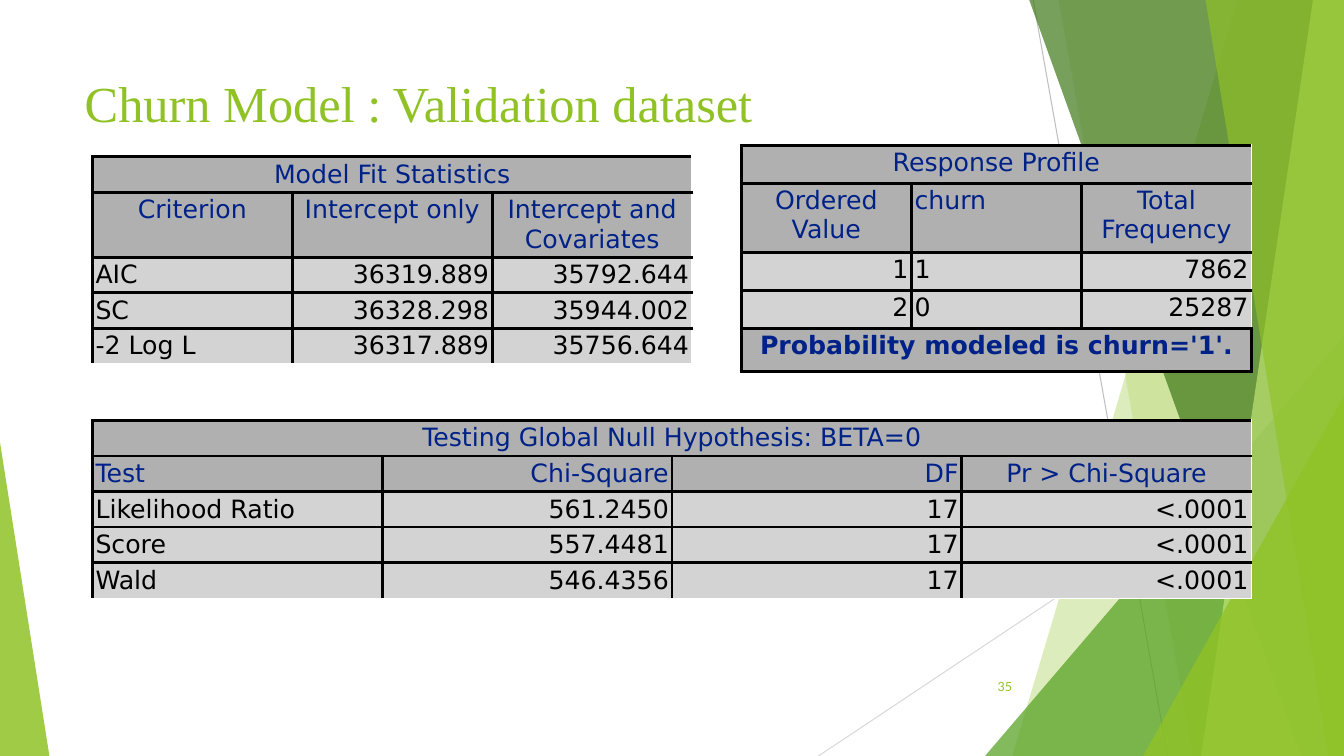
from lxml.etree import SubElement
from pptx import Presentation
from pptx.dml.color import RGBColor
from pptx.enum.shapes import MSO_CONNECTOR, MSO_SHAPE
from pptx.enum.text import MSO_ANCHOR, PP_ALIGN
from pptx.oxml.ns import qn
from pptx.util import Pt

WIDTH, HEIGHT = 960, 540
LIME = RGBColor(0x90, 0xC2, 0x26)
GREEN = RGBColor(0x54, 0xA0, 0x21)
DARK_GREEN = RGBColor(0x3F, 0x78, 0x19)
PALE_LIME = RGBColor(0xC0, 0xE4, 0x74)
NAVY = RGBColor(0x00, 0x22, 0x88)
BLACK = RGBColor(0, 0, 0)
WHITE = RGBColor(0xFF, 0xFF, 0xFF)
HEADER_GRAY = RGBColor(0xB0, 0xB0, 0xB0)
BODY_GRAY = RGBColor(0xD3, 0xD3, 0xD3)
LINE_GRAY = RGBColor(0xBF, 0xBF, 0xBF)
LINE_PALE = RGBColor(0xD9, 0xD9, 0xD9)
ALIGNMENTS = {"l": PP_ALIGN.LEFT, "c": PP_ALIGN.CENTER, "r": PP_ALIGN.RIGHT}


def add_line(slide, start, end, color):
    line = slide.shapes.add_connector(
        MSO_CONNECTOR.STRAIGHT, *map(Pt, start), *map(Pt, end))
    line.line.color.rgb = color
    line.line.width = Pt(0.75)
    SubElement(line._element.spPr, qn("a:effectLst"))


def paint(shape, color, opacity):
    shape.shadow.inherit = False
    shape.line.fill.background()
    shape.fill.solid()
    shape.fill.fore_color.rgb = color
    color_element = shape._element.spPr.find(qn("a:solidFill"))[0]
    SubElement(color_element, qn("a:alpha"), val=str(opacity * 1000))


def add_band(slide, top_left, bottom_left, color, opacity):
    builder = slide.shapes.build_freeform(Pt(top_left), Pt(-0.6), scale=1.0)
    corners = [(WIDTH, -0.6), (WIDTH, HEIGHT), (bottom_left, HEIGHT)]
    builder.add_line_segments([(Pt(x), Pt(y)) for x, y in corners], close=True)
    paint(builder.convert_to_shape(), color, opacity)


def add_triangle(slide, left, top, width, apex, color, opacity):
    triangle = slide.shapes.add_shape(
        MSO_SHAPE.ISOSCELES_TRIANGLE, Pt(left), Pt(top), Pt(width), Pt(HEIGHT - top))
    triangle.adjustments[0] = apex
    paint(triangle, color, opacity)


def add_backdrop(slide):
    add_line(slide, (738, 0), (834, HEIGHT), LINE_GRAY)
    add_line(slide, (WIDTH, 290), (584.6, HEIGHT), LINE_PALE)
    add_band(slide, 884, 723, LIME, 30)
    add_band(slide, 756, 852, LIME, 20)
    add_triangle(slide, 703.6, 240, 256.4, 1, GREEN, 72)
    add_band(slide, 735, 929.5, DARK_GREEN, 70)
    add_band(slide, 938, 858, PALE_LIME, 70)
    add_band(slide, 861, 949, LIME, 65)
    add_triangle(slide, 816.5, 283, 143.5, 1, LIME, 80)
    add_triangle(slide, 0, 316, 35.3, 0, LIME, 85)


def write(frame, text, font, size, color, align="l", bold=False):
    para = frame.paragraphs[0]
    para.alignment = ALIGNMENTS[align]
    span = para.add_run()
    span.text = text
    span.font.name = font
    span.font.size = Pt(size)
    span.font.color.rgb = color
    span.font.bold = bold


def set_borders(cell, open_sides):
    properties = cell._tc.get_or_add_tcPr()
    for side in "LRTB":
        is_open = side in open_sides
        width = Pt(1.13 if is_open else 2.25)
        border = SubElement(properties, qn("a:ln" + side), w=str(width))
        fill = SubElement(border, qn("a:solidFill"))
        SubElement(fill, qn("a:srgbClr"), val=str(WHITE if is_open else BLACK))


def format_cell(cell, open_sides, is_header):
    set_borders(cell, open_sides)
    cell.fill.solid()
    cell.fill.fore_color.rgb = HEADER_GRAY if is_header else BODY_GRAY
    cell.margin_left = cell.margin_right = Pt(2.25)
    cell.margin_top = cell.margin_bottom = Pt(2.25)


def add_statistics_table(slide, left, top, width, heights, caption, header,
                         header_aligns, body, body_aligns, footer=None):
    rows = [[caption], header] + body + ([[footer]] if footer else [])
    columns = len(header)
    table = slide.shapes.add_table(
        len(rows), columns, Pt(left), Pt(top), Pt(width), Pt(sum(heights))).table
    table.first_row = table.horz_banding = False
    for column in table.columns:
        column.width = Pt(width / columns)
    for row_index, values in enumerate(rows):
        table.rows[row_index].height = Pt(heights[row_index])
        is_footer = values == [footer]
        is_merged = len(values) == 1
        is_header = row_index < 2 or is_footer
        aligns = "c" if is_merged else header_aligns if is_header else body_aligns
        for column_index in range(columns):
            open_sides = ""
            if not is_footer:
                if is_merged or column_index == columns - 1:
                    open_sides += "R"
                if row_index == len(rows) - 1:
                    open_sides += "B"
            format_cell(table.cell(row_index, column_index), open_sides, is_header)
        if is_merged:
            table.cell(row_index, 0).merge(table.cell(row_index, columns - 1))
        for column_index, (text, align) in enumerate(zip(values, aligns)):
            write(table.cell(row_index, column_index).text_frame, text, "DejaVu Sans",
                  18, NAVY if is_header else BLACK, align, is_footer)


def add_title(slide, text):
    title = slide.shapes.title
    slide.shapes._spTree.append(title._element)
    title.left, title.top, title.width, title.height = map(Pt, (53.3, 48.2, 676.8, 103.7))
    title.text_frame.vertical_anchor = MSO_ANCHOR.TOP
    write(title.text_frame, text, "Times New Roman", 36, LIME)


def add_page_number(slide, number):
    box = slide.shapes.add_textbox(*map(Pt, (676, 476, 54, 28.8)))
    box.text_frame.word_wrap = True
    box.text_frame.vertical_anchor = MSO_ANCHOR.MIDDLE
    write(box.text_frame, number, "Lato", 9, LIME, "r")


def main():
    deck = Presentation()
    deck.slide_width, deck.slide_height = Pt(WIDTH), Pt(HEIGHT)
    slide = deck.slides.add_slide(deck.slide_layouts[5])
    add_backdrop(slide)
    add_title(slide, "Churn Model : Validation dataset")
    add_statistics_table(
        slide, 66, 112, 428.4, [25.4, 46.4, 25.4, 25.4, 25.4],
        "Model Fit Statistics",
        ["Criterion", "Intercept only", "Intercept and Covariates"], "ccc",
        [["AIC", "36319.889", "35792.644"],
         ["SC", "36328.298", "35944.002"],
         ["-2 Log L", "36317.889", "35756.644"]], "lrr")
    add_statistics_table(
        slide, 66, 300.3, 828, [25.4] * 5,
        "Testing Global Null Hypothesis: BETA=0",
        ["Test", "Chi-Square", "DF", "Pr > Chi-Square"], "lrrc",
        [["Likelihood Ratio", "561.2450", "17", "<.0001"],
         ["Score", "557.4481", "17", "<.0001"],
         ["Wald", "546.4356", "17", "<.0001"]], "lrrr")
    add_statistics_table(
        slide, 529.5, 103.7, 364.5, [27.2, 49.4, 27.2, 27.2, 31],
        "Response Profile",
        ["Ordered Value", "churn", "Total Frequency"], "clc",
        [["1", "1", "7862"], ["2", "0", "25287"]], "rlr",
        "Probability modeled is churn='1'.")
    add_page_number(slide, "35")
    deck.save("out.pptx")


main()
